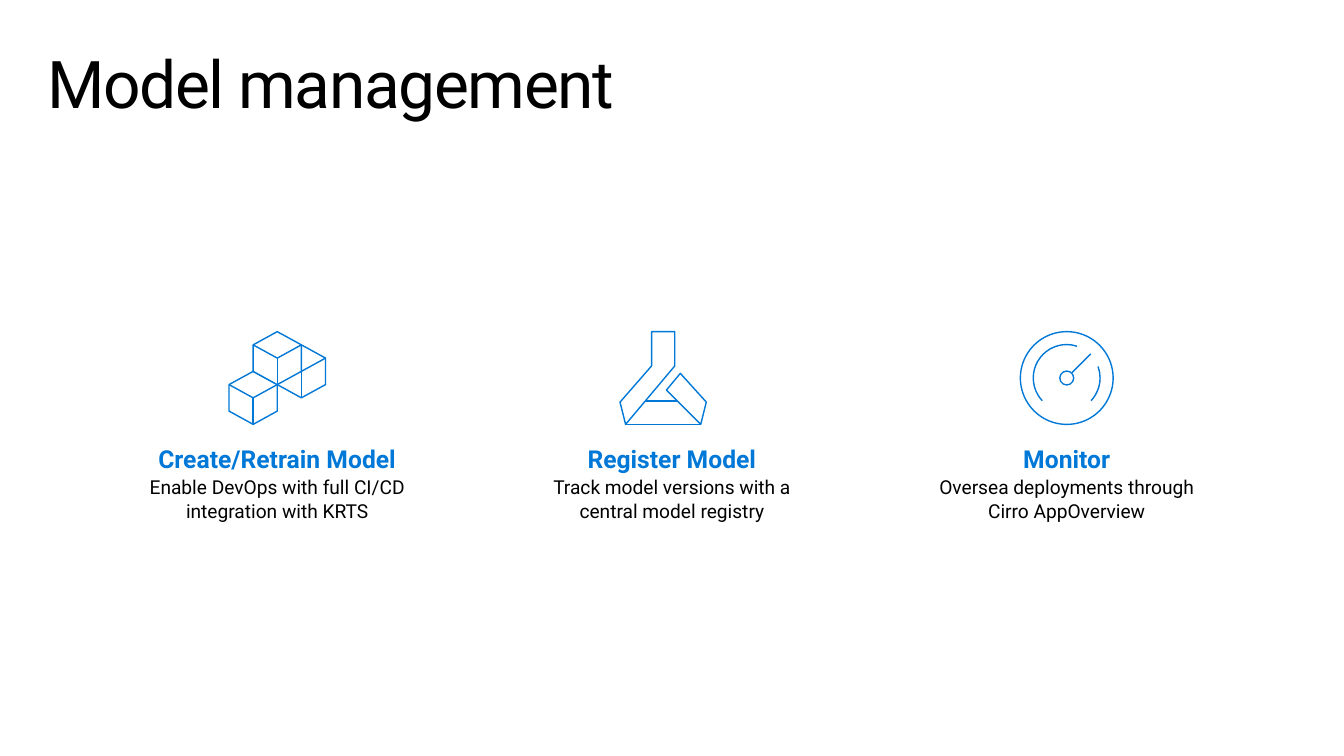
from lxml.etree import SubElement as Sub
from pptx import Presentation
from pptx.dml.color import RGBColor
from pptx.enum.shapes import MSO_CONNECTOR as Conn, MSO_SHAPE as Kind
from pptx.enum.text import MSO_ANCHOR as Anchor, MSO_AUTO_SIZE as Fit, PP_ALIGN as Align
from pptx.oxml.ns import qn
from pptx.util import Inches, Pt

WIDE, HIGH = 13.33, 7.5
BLUE, BLACK, WHITE = "0078D7", "000000", "FFFFFF"
PITCH = 3.915
TILE = (1.3, 3.29, 2.9, 1.95)
ICON = 0.92


def tint(code):
    return RGBColor.from_string(code)


def place(shape, x, y, w, h):
    spots = {"left": x, "top": y, "width": w, "height": h}
    for name, size in spots.items():
        setattr(shape, name, Inches(size))


def frame(shape, edges, **style):
    text = shape.text_frame
    sides = ("left", "top", "right", "bottom")
    style |= {f"margin_{s}": Inches(e) for s, e in zip(sides, edges)}
    for name, value in style.items():
        setattr(text, name, value)
    return text


def write(para, words, size, color, bold=False, **style):
    run = para.add_run()
    run.text = words
    looks = {"name": "Roboto", "size": Pt(size), "bold": bold}
    for name, value in looks.items():
        setattr(run.font, name, value)
    run.font.color.rgb = tint(color)
    for name, value in style.items():
        setattr(para, name, value)
    return run


def ink(shape, fill=None):
    shape.line.color.rgb = tint(BLUE)
    shape.line.width = Pt(1)
    shape.shadow.inherit = False
    if fill:
        shape.fill.solid()
        shape.fill.fore_color.rgb = tint(fill)
    else:
        shape.fill.background()


def stroke(shapes, start, end):
    line = shapes.add_connector(Conn.STRAIGHT, *map(Inches, (*start, *end)))
    line.line.color.rgb = tint(BLUE)
    line.line.width = Pt(1)
    Sub(line._element.spPr, qn("a:effectLst"))


def outline(shapes, points, fill=None):
    first, *rest = [(Inches(x), Inches(y)) for x, y in points]
    path = shapes.build_freeform(*first)
    path.add_line_segments(rest, close=True)
    ink(path.convert_to_shape(), fill)


def ring(shapes, mid, y, r, kind=Kind.OVAL, span=()):
    shape = shapes.add_shape(kind, *map(Inches, (mid - r, y - r, 2 * r, 2 * r)))
    for i, angle in enumerate(span):
        shape.adjustments[i] = angle * 0.6
    ink(shape)


def cube(shapes, mid, top, w, h, fill):
    def spot(col, row):
        return mid + col * w, top + row * h

    rim = [(0, 0), (1, 1), (1, 3), (0, 4), (-1, 3), (-1, 1)]
    outline(shapes, [spot(*p) for p in rim], fill)
    for tip in ((-1, 1), (1, 1), (0, 4)):
        stroke(shapes, spot(*tip), spot(0, 2))


def cubes(slide, mid, top, size):
    group = slide.shapes.add_group_shape().shapes
    w, h = size * 0.26, size / 7
    for col, row, fill in ((1, 1, None), (-1, 3, None), (0, 0, WHITE)):
        cube(group, mid + col * w, top + row * h, w, h, fill)


def flask(slide, mid, top, size):
    group = slide.shapes.add_group_shape().shapes
    left = mid - 0.56 * size

    def spot(x, y):
        return left + x * size, top + y * size

    x, y = spot(0.07, 0.75)
    base = group.add_shape(Kind.RECTANGLE, *map(Inches, (x, y, size * 0.8, size * 0.25)))
    ink(base, WHITE)
    neck = [(0.34, 0), (0.59, 0), (0.59, 0.37), (0.06, 1), (0, 0.76), (0.34, 0.37)]
    flap = [(0.5, 0.63), (0.65, 0.45), (0.93, 0.76), (0.87, 1)]
    for part in (neck, flap):
        outline(group, [spot(*p) for p in part], WHITE)


def gauge(slide, mid, top, size):
    shapes = slide.shapes
    y, r = top + size / 2, size / 2
    ring(shapes, mid, y, r)
    ring(shapes, mid, y, r * 0.15)
    for span in ((340, 43), (137, 288)):
        ring(shapes, mid, y, r * 0.72, Kind.ARC, span)
    stroke(shapes, (mid + r * 0.11, y - r * 0.11), (mid + r * 0.52, y - r * 0.52))


def tile(slide, box, draw, head, body):
    x, y, w, h = box
    draw(slide, x + w / 2, y, ICON)
    drop = 1.06
    label = slide.shapes.add_textbox(*map(Inches, (x, y + drop, w, h - drop)))
    text = frame(label, (0.1, 0.05, 0.1, 0.05), word_wrap=True, auto_size=Fit.SHAPE_TO_FIT_TEXT)
    write(text.paragraphs[0], head, 17.6, BLUE, True, alignment=Align.CENTER, space_after=Pt(2))
    write(text.add_paragraph(), body, 13.7, BLACK, alignment=Align.CENTER)


def heading(slide, words):
    title = slide.shapes.title
    place(title, 0.47, 0.33, 12.4, 0.83)
    text = frame(title, (0, 0.18, 0, 0), word_wrap=True, auto_size=Fit.NONE,
                 vertical_anchor=Anchor.TOP)
    run = write(text.paragraphs[0], words, 47, BLACK, alignment=Align.LEFT, line_spacing=0.9)
    run.font._element.set("spc", "-100")


def main():
    deck = Presentation()
    deck.slide_width, deck.slide_height = Inches(WIDE), Inches(HIGH)
    slide = deck.slides.add_slide(deck.slide_layouts[5])
    heading(slide, "Model management")
    steps = [
        (cubes, "Create/Retrain Model", "Enable DevOps with full CI/CD integration with KRTS"),
        (flask, "Register Model", "Track model versions with a central model registry"),
        (gauge, "Monitor", "Oversea deployments through Cirro AppOverview"),
    ]
    x, *rest = TILE
    for i, step in enumerate(steps):
        tile(slide, (x + i * PITCH, *rest), *step)
    deck.save("out.pptx")


if __name__ == "__main__":
    main()
